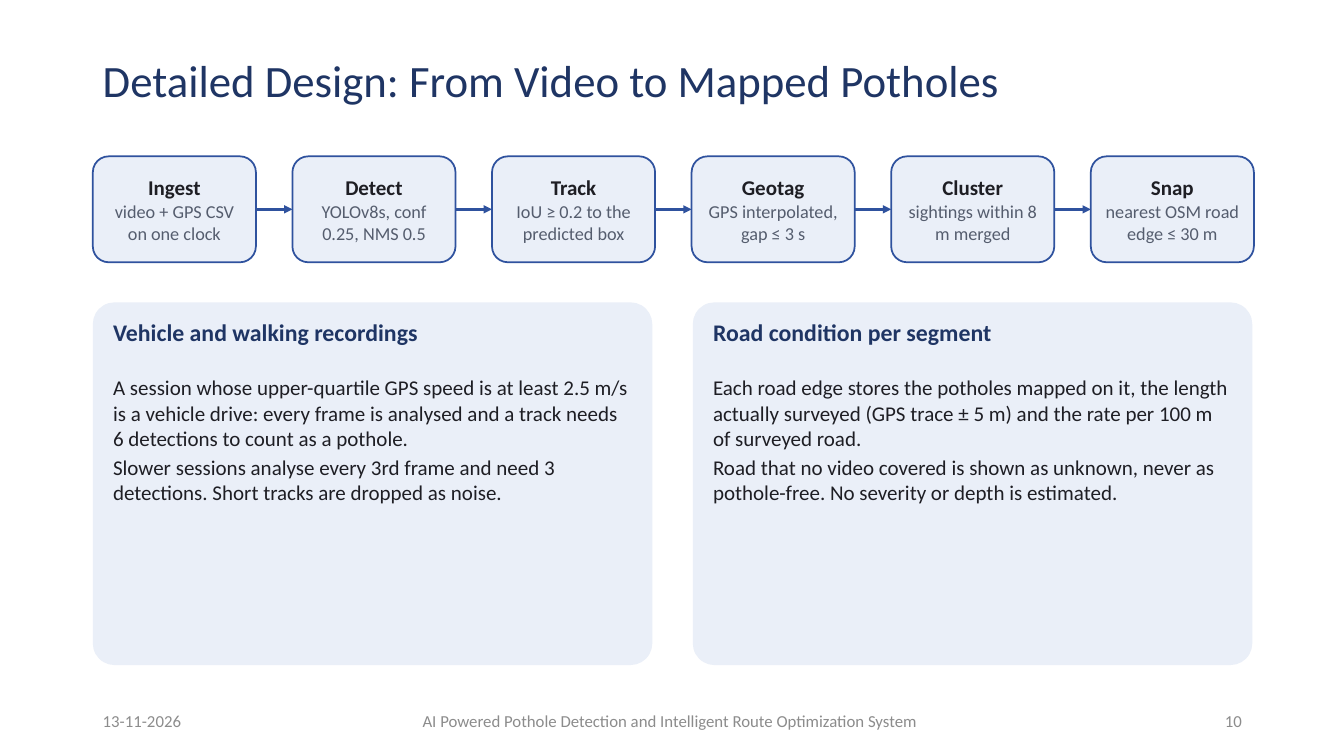
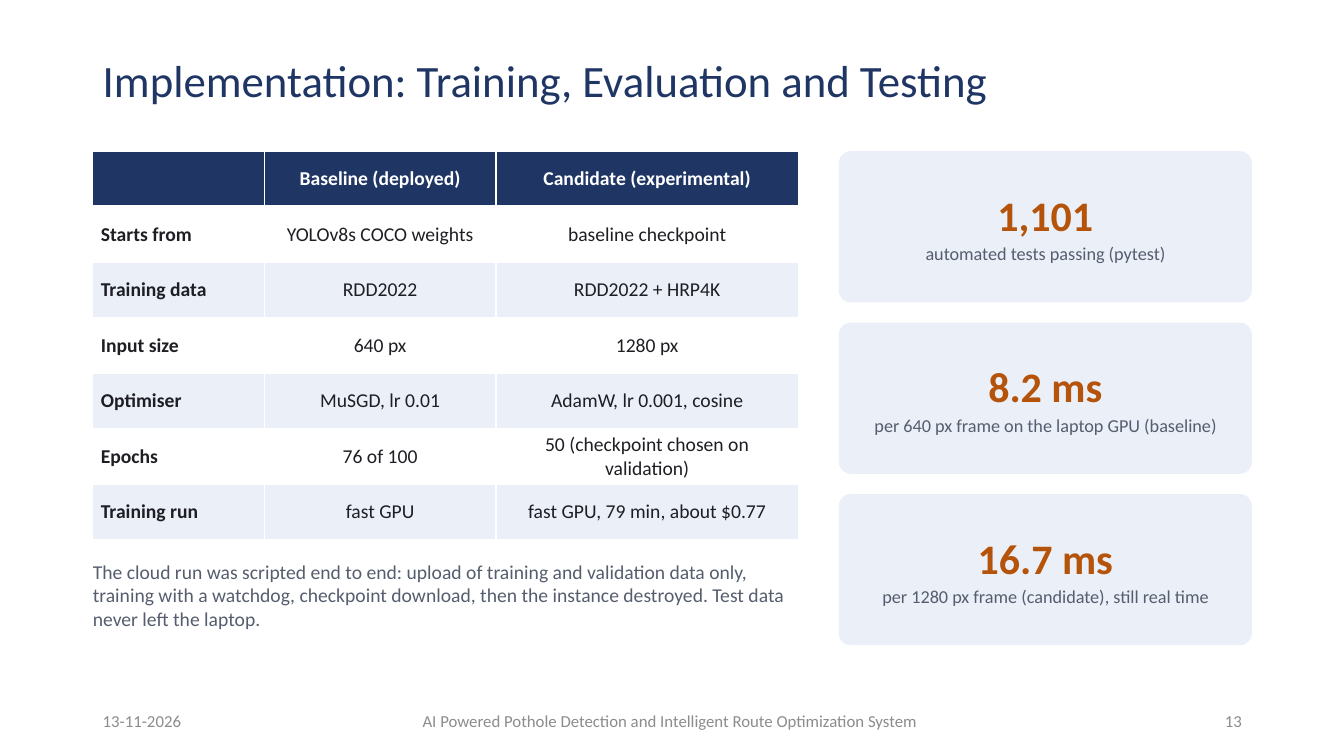
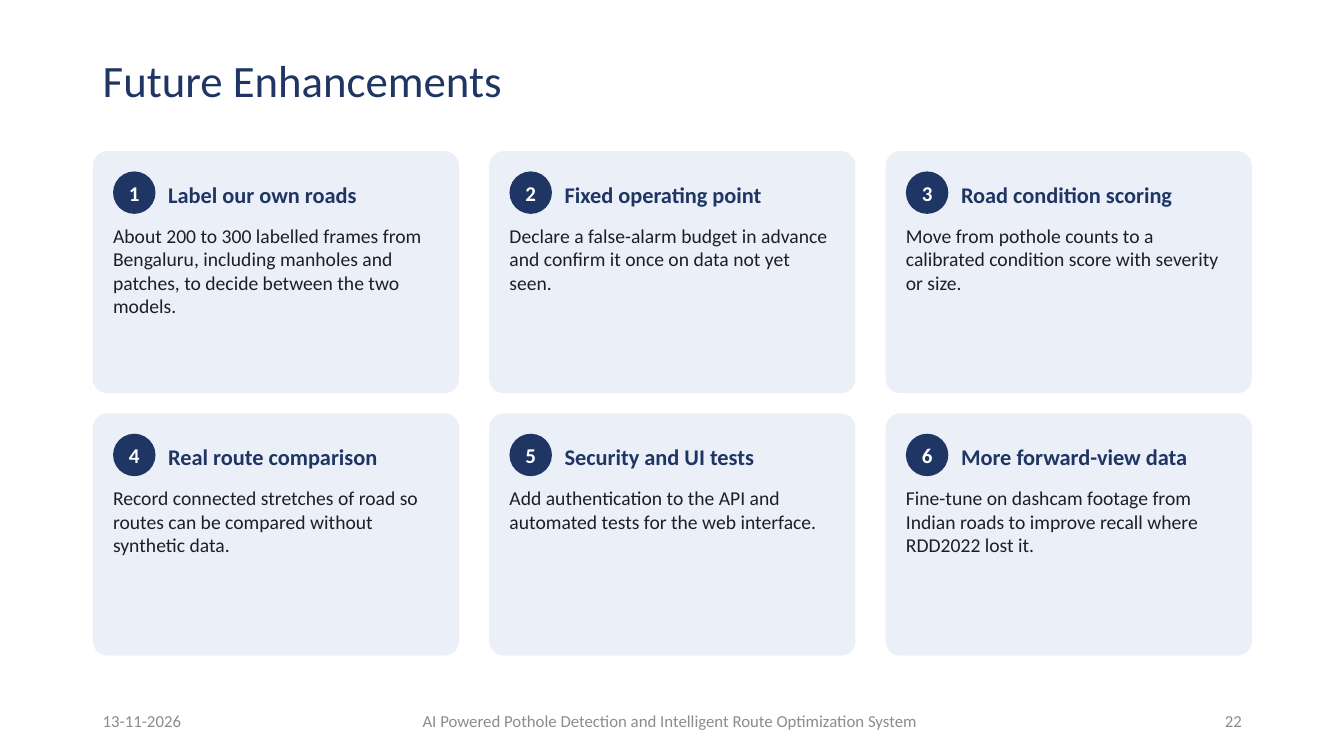
from dataclasses import dataclass

from lxml import etree
from pptx import Presentation
from pptx.dml.color import RGBColor
from pptx.enum.shapes import MSO_CONNECTOR, MSO_SHAPE
from pptx.enum.text import MSO_ANCHOR, PP_ALIGN
from pptx.oxml.ns import qn
from pptx.util import Cm, Pt

ROUNDED, OVAL = MSO_SHAPE.ROUNDED_RECTANGLE, MSO_SHAPE.OVAL
STRAIGHT = MSO_CONNECTOR.STRAIGHT
TOP, MIDDLE = MSO_ANCHOR.TOP, MSO_ANCHOR.MIDDLE
LEFT, CENTER, RIGHT = PP_ALIGN.LEFT, PP_ALIGN.CENTER, PP_ALIGN.RIGHT

FONT = "Calibri"
NAVY, BLUE, PALE, WHITE = "1F3564", "2F529E", "EAEFF8", "FFFFFF"
INK, SLATE, GREY, ORANGE = "1E1E24", "555D6E", "8C8C8C", "B45309"

# All lengths are centimetres.
MARGIN, CONTENT_WIDTH, CONTENT_TOP = 2.34, 29.21, 3.81
PADDING = 0.51
NO_INSETS = (0, 0)
DEFAULT_INSETS = (0.25, 0.13)
DATE = "13-11-2026"
PROJECT = "AI Powered Pothole Detection and Intelligent Route Optimization System"


@dataclass
class Para:
    text: str
    size: float
    color: str
    bold: bool = False
    align: PP_ALIGN = LEFT
    after: float = 0
    line_spacing: float = 1


@dataclass
class Area:
    left: float
    top: float
    width: float
    height: float

    def lengths(self) -> list:
        return [Cm(value) for value in (self.left, self.top, self.width, self.height)]


@dataclass
class Item:
    """A heading with the text below it."""
    heading: str
    body: str


STEPS = [
    Item("Ingest", "video + GPS CSV on one clock"),
    Item("Detect", "YOLOv8s, conf 0.25, NMS 0.5"),
    Item("Track", "IoU ≥ 0.2 to the predicted box"),
    Item("Geotag", "GPS interpolated, gap ≤ 3 s"),
    Item("Cluster", "sightings within 8 m merged"),
    Item("Snap", "nearest OSM road edge ≤ 30 m"),
]
PANELS = [
    Item("Vehicle and walking recordings",
         "A session whose upper-quartile GPS speed is at least 2.5 m/s is a vehicle drive: "
         "every frame is analysed and a track needs 6 detections to count as a pothole.\n"
         "Slower sessions analyse every 3rd frame and need 3 detections. "
         "Short tracks are dropped as noise."),
    Item("Road condition per segment",
         "Each road edge stores the potholes mapped on it, the length actually surveyed "
         "(GPS trace ± 5 m) and the rate per 100 m of surveyed road.\n"
         "Road that no video covered is shown as unknown, never as pothole-free. "
         "No severity or depth is estimated."),
]
COLUMN_WIDTHS = [4.32, 5.84, 7.62]
ROW_HEIGHT = 1.4
TRAINING_ROWS = [
    ["", "Baseline (deployed)", "Candidate (experimental)"],
    ["Starts from", "YOLOv8s COCO weights", "baseline checkpoint"],
    ["Training data", "RDD2022", "RDD2022 + HRP4K"],
    ["Input size", "640 px", "1280 px"],
    ["Optimiser", "MuSGD, lr 0.01", "AdamW, lr 0.001, cosine"],
    ["Epochs", "76 of 100", "50 (checkpoint chosen on validation)"],
    ["Training run", "fast GPU", "fast GPU, 79 min, about $0.77"],
]
CLOUD_NOTE = ("The cloud run was scripted end to end: upload of training and validation data "
              "only, training with a watchdog, checkpoint download, then the instance "
              "destroyed. Test data never left the laptop.")
METRICS = [
    Item("1,101", "automated tests passing (pytest)"),
    Item("8.2 ms", "per 640 px frame on the laptop GPU (baseline)"),
    Item("16.7 ms", "per 1280 px frame (candidate), still real time"),
]
ENHANCEMENTS = [
    Item("Label our own roads",
         "About 200 to 300 labelled frames from Bengaluru, including manholes and patches, "
         "to decide between the two models."),
    Item("Fixed operating point",
         "Declare a false-alarm budget in advance and confirm it once on data not yet seen."),
    Item("Road condition scoring",
         "Move from pothole counts to a calibrated condition score with severity or size."),
    Item("Real route comparison",
         "Record connected stretches of road so routes can be compared without synthetic data."),
    Item("Security and UI tests",
         "Add authentication to the API and automated tests for the web interface."),
    Item("More forward-view data",
         "Fine-tune on dashcam footage from Indian roads to improve recall where "
         "RDD2022 lost it."),
]


def rgb(color: str) -> RGBColor:
    return RGBColor.from_string(color)


def write(frame, paras: list[Para]) -> None:
    for index, para in enumerate(paras):
        paragraph = frame.add_paragraph() if index else frame.paragraphs[0]
        paragraph.text = para.text
        paragraph.alignment = para.align
        paragraph.space_after = Pt(para.after)
        paragraph.line_spacing = para.line_spacing
        for span in paragraph.runs:
            span.font.name = FONT
            span.font.size = Pt(para.size)
            span.font.bold = para.bold
            span.font.color.rgb = rgb(para.color)


def fill_frame(frame, paras: list[Para], anchor: MSO_ANCHOR, insets: tuple) -> None:
    """Write into a shape's frame; insets are (horizontal, vertical)."""
    frame.word_wrap = True
    frame.vertical_anchor = anchor
    frame.margin_left = frame.margin_right = Cm(insets[0])
    frame.margin_top = frame.margin_bottom = Cm(insets[1])
    write(frame, paras)


def add_text(page, area: Area, paras: list[Para], anchor: MSO_ANCHOR = TOP,
             insets: tuple = NO_INSETS) -> None:
    box = page.shapes.add_textbox(*area.lengths())
    fill_frame(box.text_frame, paras, anchor, insets)


def add_block(page, kind: MSO_SHAPE, area: Area, fill: str = PALE, radius: float | None = None,
              line: str | None = None, paras: list[Para] | None = None,
              insets: tuple = NO_INSETS):
    block = page.shapes.add_shape(kind, *area.lengths())
    block.shadow.inherit = False
    block.fill.solid()
    block.fill.fore_color.rgb = rgb(fill)
    if radius is not None:
        block.adjustments[0] = radius
    if line:
        block.line.color.rgb = rgb(line)
        block.line.width = Pt(1.25)
    else:
        block.line.fill.background()
    if paras:
        fill_frame(block.text_frame, paras, MIDDLE, insets)
    return block


def add_arrow(page, source, target) -> None:
    """Join the right side of one box to the left side of the next."""
    arrow = page.shapes.add_connector(STRAIGHT, 0, 0, 0, 0)
    arrow.begin_connect(source, 3)
    arrow.end_connect(target, 1)
    arrow.line.color.rgb = rgb(BLUE)
    arrow.line.width = Pt(1.75)
    properties = arrow._element.spPr
    etree.SubElement(properties.find(qn("a:ln")), qn("a:tailEnd"), type="triangle")
    etree.SubElement(properties, qn("a:effectLst"))


def add_page(deck, title: str, number: int):
    """Add a blank page with the shared title and footer."""
    page = deck.slides.add_slide(deck.slide_layouts[6])
    add_text(page, Area(MARGIN, 1.02, 27.69, 2.16),
             [Para(title, 32, NAVY, line_spacing=0.9)], MIDDLE, DEFAULT_INSETS)
    side = 7.62
    for text, left, width, align in (
        (PROJECT, 9.14, 15.49, CENTER),
        (str(number), MARGIN + CONTENT_WIDTH - side, side, RIGHT),
        (DATE, MARGIN, side, LEFT),
    ):
        add_text(page, Area(left, 17.65, width, 1.02),
                 [Para(text, 12, GREY, align=align)], MIDDLE, DEFAULT_INSETS)
    return page


def add_pipeline(page) -> None:
    boxes = []
    for index, step in enumerate(STEPS):
        area = Area(MARGIN + index * 5.03, 3.94, 4.11, 2.67)
        paras = [Para(step.heading, 15, INK, True, CENTER),
                 Para(step.body, 13, SLATE, align=CENTER)]
        boxes.append(add_block(page, ROUNDED, area, radius=0.15, line=BLUE,
                               paras=paras, insets=(0.15, 0.08)))
    for source, target in zip(boxes, boxes[1:]):
        add_arrow(page, source, target)


def add_panels(page) -> None:
    top, width, height, gap = 7.62, 14.1, 9.14, 1.02
    for index, panel in enumerate(PANELS):
        left = MARGIN + index * (width + gap)
        inner_left, inner_width = left + PADDING, width - 2 * PADDING
        add_block(page, ROUNDED, Area(left, top, width, height), radius=0.06)
        add_text(page, Area(inner_left, top + 0.38, inner_width, 1.14),
                 [Para(panel.heading, 17, NAVY, True, after=4)])
        add_text(page, Area(inner_left, top + 1.83, inner_width, 7.06),
                 [Para(text, 15, INK, after=3) for text in panel.body.split("\n")])


def set_borders(cell, top: float, bottom: float) -> None:
    """Draw white borders, with 1 point at the sides."""
    properties = cell._tc.get_or_add_tcPr()
    for tag, points in (("lnL", 1), ("lnR", 1), ("lnT", top), ("lnB", bottom)):
        line = etree.SubElement(properties, qn(f"a:{tag}"), w=str(Pt(points)))
        fill = etree.SubElement(line, qn("a:solidFill"))
        etree.SubElement(fill, qn("a:srgbClr"), val=WHITE)


def add_training_table(page) -> None:
    area = Area(MARGIN, CONTENT_TOP, sum(COLUMN_WIDTHS), ROW_HEIGHT * len(TRAINING_ROWS))
    table = page.shapes.add_table(len(TRAINING_ROWS), len(COLUMN_WIDTHS), *area.lengths()).table
    table.horz_banding = False
    for column, width in zip(table.columns, COLUMN_WIDTHS):
        column.width = Cm(width)
    for row_index, texts in enumerate(TRAINING_ROWS):
        header = row_index == 0
        fill = NAVY if header else (WHITE if row_index % 2 else PALE)
        for column_index, text in enumerate(texts):
            cell = table.cell(row_index, column_index)
            set_borders(cell, 3 if row_index == 1 else 1, 3 if header else 1)
            cell.fill.solid()
            cell.fill.fore_color.rgb = rgb(fill)
            cell.vertical_anchor = MIDDLE
            cell.margin_left = cell.margin_right = Cm(0.2)
            cell.margin_top = cell.margin_bottom = Cm(0.08)
            write(cell.text_frame, [Para(text, 14, WHITE if header else INK,
                                         header or column_index == 0,
                                         CENTER if column_index else LEFT)])


def add_metrics(page) -> None:
    width, height = 10.41, 3.81
    left = MARGIN + CONTENT_WIDTH - width
    for index, metric in enumerate(METRICS):
        area = Area(left, CONTENT_TOP + index * (height + PADDING), width, height)
        paras = [Para(metric.heading, 30, ORANGE, True, CENTER, after=2),
                 Para(metric.body, 13, SLATE, align=CENTER)]
        add_block(page, ROUNDED, area, radius=0.08, paras=paras, insets=(0.2, 0.13))


def add_enhancements(page) -> None:
    columns, gap, height, row_gap = 3, 0.76, 6.1, 0.51
    width = (CONTENT_WIDTH - (columns - 1) * gap) / columns
    badge, heading_offset = 1.07, 1.9
    for index, item in enumerate(ENHANCEMENTS):
        row, column = divmod(index, columns)
        left = MARGIN + column * (width + gap)
        top = CONTENT_TOP + row * (height + row_gap)
        add_block(page, ROUNDED, Area(left, top, width, height), radius=0.06)
        add_block(page, OVAL, Area(left + PADDING, top + PADDING, badge, badge), NAVY,
                  paras=[Para(str(index + 1), 15, WHITE, True, CENTER)])
        add_text(page, Area(left + heading_offset, top + 0.46,
                            width - heading_offset - PADDING, 1.27),
                 [Para(item.heading, 16, NAVY, True, after=4)], MIDDLE)
        add_text(page, Area(left + PADDING, top + 1.83, width - 2 * PADDING, 4.01),
                 [Para(item.body, 14, INK, after=3)])


def main() -> None:
    deck = Presentation()
    deck.slide_width, deck.slide_height = Cm(33.87), Cm(19.05)

    page = add_page(deck, "Detailed Design: From Video to Mapped Potholes", 10)
    add_pipeline(page)
    add_panels(page)

    page = add_page(deck, "Implementation: Training, Evaluation and Testing", 13)
    add_training_table(page)
    add_metrics(page)
    add_text(page, Area(MARGIN, 14.1, sum(COLUMN_WIDTHS), 2.54),
             [Para(CLOUD_NOTE, 14, SLATE, after=4)])

    page = add_page(deck, "Future Enhancements", 22)
    add_enhancements(page)

    deck.save("out.pptx")


if __name__ == "__main__":
    main()
